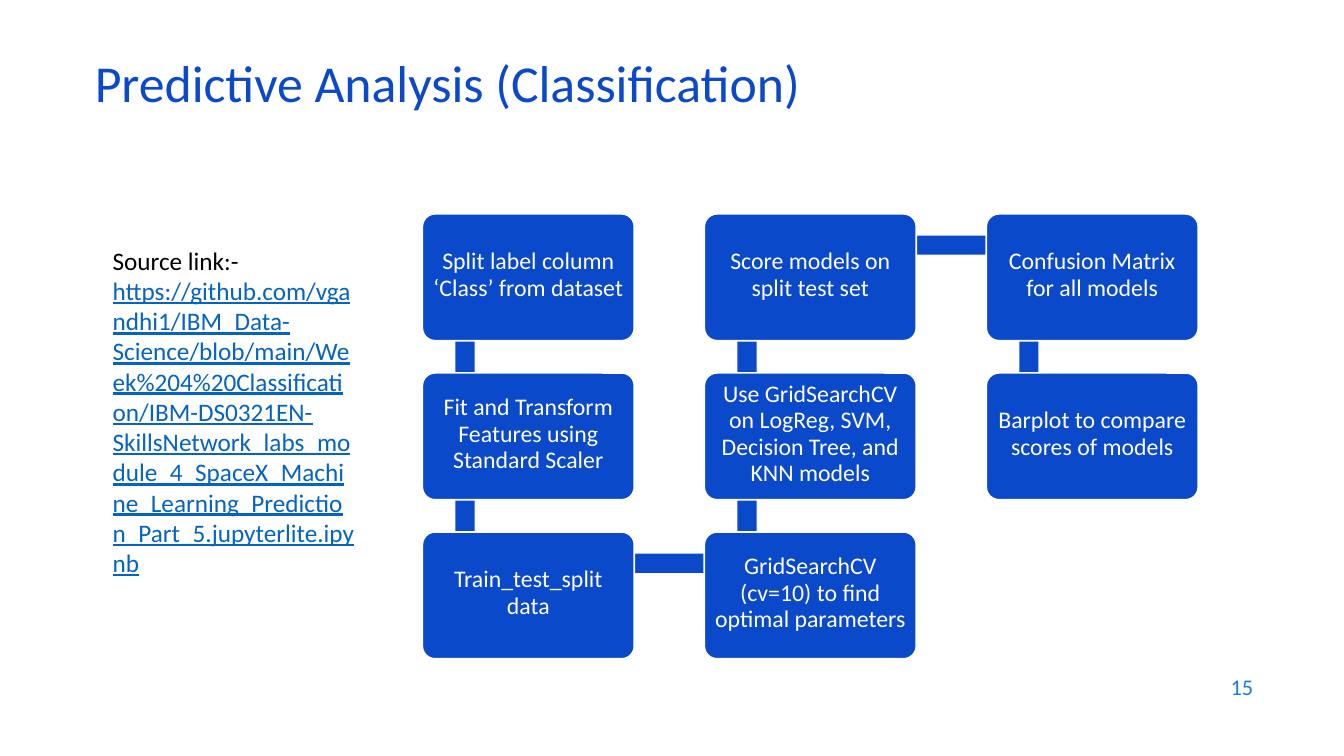
from pptx import Presentation
from pptx.dml.color import RGBColor
from pptx.enum import shapes, text
from pptx.util import Pt

COLORS = {
    "blue": "0B49CB",
    "link": "0563C1",
    "number": "1C7DDB",
    "white": "FFFFFF",
    "black": "000000",
}
FONT = "Calibri"
STEP_WIDTH, STEP_HEIGHT = 151.4, 90.6
COLUMN_PITCH, ROW_PITCH = 201.4, 113.6
BAR_THICKNESS = 13.7

STEPS = [
    (0, 0, ["Split label column", "‘Class’ from dataset"]),
    (0, 1, ["Fit and Transform", "Features using", "Standard Scaler"]),
    (0, 2, ["Train_test_split", "data"]),
    (1, 2, ["GridSearchCV", "(cv=10) to find", "optimal parameters"]),
    (1, 1, ["Use GridSearchCV", "on LogReg, SVM,", "Decision Tree, and", "KNN models"]),
    (1, 0, ["Score models on", "split test set"]),
    (2, 0, ["Confusion Matrix", "for all models"]),
    (2, 1, ["Barplot to compare", "scores of models"]),
]
NOTEBOOK_URL = (
    "https://github.com/vgandhi1/IBM_Data-Science/blob/main/Week%204%20Classification/"
    "IBM-DS0321EN-SkillsNetwork_labs_module_4_SpaceX_Machine_Learning_Prediction_Part_5"
    ".jupyterlite.ipynb"
)


def color(name):
    return RGBColor.from_string(COLORS[name])


def add_run(paragraph, words, size, color_name, underline=None):
    run = paragraph.add_run()
    run.text = words
    run.font.name = FONT
    run.font.size = Pt(size)
    run.font.color.rgb = color(color_name)
    run.font.underline = underline


def add_block(slide, kind, left, top, width, height):
    shape = slide.shapes.add_shape(kind, Pt(left), Pt(top), Pt(width), Pt(height))
    shape.shadow.inherit = False
    shape.fill.solid()
    shape.fill.fore_color.rgb = color("blue")
    shape.line.fill.background()
    return shape


def add_title(slide, left, top, width, height):
    title = slide.shapes.title
    title.left, title.top, title.width, title.height = map(Pt, (left, top, width, height))
    frame = title.text_frame
    frame.auto_size = text.MSO_AUTO_SIZE.NONE
    frame.vertical_anchor = text.MSO_ANCHOR.MIDDLE
    paragraph = frame.paragraphs[0]
    paragraph.alignment = text.PP_ALIGN.LEFT
    paragraph.line_spacing = 0.7
    add_run(paragraph, "Predictive Analysis (Classification)", 37, "blue")


def add_text_box(slide, left, top, width, height):
    frame = slide.shapes.add_textbox(Pt(left), Pt(top), Pt(width), Pt(height)).text_frame
    frame.word_wrap = True
    return frame


def add_notebook_link(slide, left, top, width, height):
    frame = add_text_box(slide, left, top, width, height)
    paragraph = frame.paragraphs[0]
    add_run(paragraph, "Source link:- ", 18, "black")
    add_run(paragraph, NOTEBOOK_URL, 18, "link", True)


def add_bar(slide, left, top, start, end):
    column, row = min(start[0], end[0]), min(start[1], end[1])
    x, y = left + column * COLUMN_PITCH, top + row * ROW_PITCH
    if start[0] == end[0]:
        box = (x + 23.6, y + 22.8, BAR_THICKNESS, ROW_PITCH)
    else:
        box = (x + 30.6, y + 15.5, COLUMN_PITCH, BAR_THICKNESS)
    add_block(slide, shapes.MSO_SHAPE.RECTANGLE, *box)


def add_step(slide, left, top, lines):
    shape = add_block(
        slide, shapes.MSO_SHAPE.ROUNDED_RECTANGLE, left, top, STEP_WIDTH, STEP_HEIGHT
    )
    shape.adjustments[0] = 0.1
    shape.line.color.rgb = color("white")
    shape.line.width = Pt(1.2)
    frame = shape.text_frame
    frame.word_wrap = True
    frame.margin_left = frame.margin_right = Pt(2)
    frame.margin_top, frame.margin_bottom = Pt(0), Pt(4)
    frame.vertical_anchor = text.MSO_ANCHOR.MIDDLE
    paragraph = frame.paragraphs[0]
    paragraph.alignment = text.PP_ALIGN.CENTER
    paragraph.line_spacing = Pt(19)
    for index, line in enumerate(lines):
        if index:
            paragraph.add_line_break()
        add_run(paragraph, line, 17, "white")


def add_process(slide, left, top):
    for start, end in zip(STEPS, STEPS[1:]):
        add_bar(slide, left, top, start, end)
    for column, row, lines in STEPS:
        add_step(slide, left + column * COLUMN_PITCH, top + row * ROW_PITCH, lines)


def add_slide_number(slide, left, top, width, height):
    frame = add_text_box(slide, left, top, width, height)
    frame.vertical_anchor = text.MSO_ANCHOR.MIDDLE
    paragraph = frame.paragraphs[0]
    paragraph.alignment = text.PP_ALIGN.RIGHT
    add_run(paragraph, "15", 16, "number")


def main():
    presentation = Presentation()
    presentation.slide_width, presentation.slide_height = Pt(960), Pt(540)
    slide = presentation.slides.add_slide(presentation.slide_layouts[5])
    add_title(slide, 60.5, 42.5, 828, 43.2)
    add_notebook_link(slide, 73.4, 171.4, 187.2, 269.3)
    add_process(slide, 301.7, 152.8)
    add_slide_number(slide, 686.2, 474.5, 216, 31.7)
    presentation.save("out.pptx")


if __name__ == "__main__":
    main()
